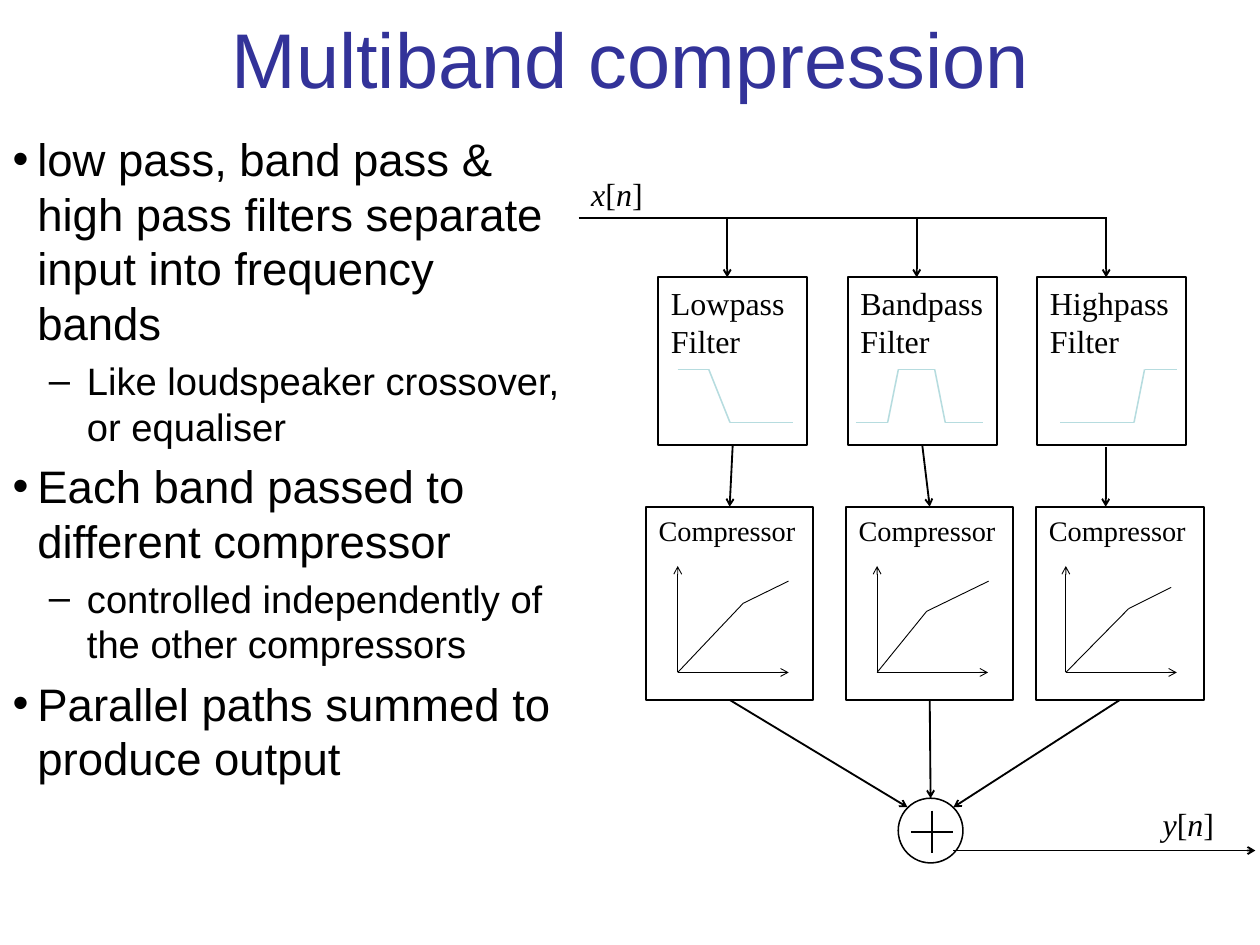
from dataclasses import dataclass

from lxml import etree
from pptx import Presentation
from pptx.dml.color import RGBColor
from pptx.enum.shapes import MSO_CONNECTOR, MSO_SHAPE
from pptx.enum.text import MSO_ANCHOR, MSO_AUTO_SIZE, PP_ALIGN
from pptx.oxml.ns import qn
from pptx.util import Pt

STRAIGHT = MSO_CONNECTOR.STRAIGHT
RECTANGLE = MSO_SHAPE.RECTANGLE
OVAL = MSO_SHAPE.OVAL
TOP, MIDDLE = MSO_ANCHOR.TOP, MSO_ANCHOR.MIDDLE
LEFT, CENTER = PP_ALIGN.LEFT, PP_ALIGN.CENTER
TOP_SIDE, BOTTOM_SIDE = 0, 2

BLACK = RGBColor(0x00, 0x00, 0x00)
NAVY = RGBColor(0x33, 0x33, 0x99)
PALE_TEAL = RGBColor(0xB6, 0xDC, 0xDF)
SANS, SERIF = "Arial", "Times New Roman"

# Shared levels of the diagram, in points
BUS_Y = 177
FILTER_TOP, FILTER_WIDTH, FILTER_HEIGHT = 225.4, 121, 136
COMPRESSOR_TOP, COMPRESSOR_WIDTH, COMPRESSOR_HEIGHT = 411.8, 136, 157
STOP_Y, PASS_Y = 343.4, 300.2
AXIS_Y, AXIS_TOP, AXIS_LENGTH = 546.5, 460, 90.2
BAND_STEP = 154

Point = tuple[float, float]


@dataclass
class Band:
    name: str
    compressor_left: float
    response: list[Point]
    origin: float
    knee: Point
    curve_end: Point


@dataclass
class Bullet:
    text: str
    level: int = 0


BANDS = [
    Band("Lowpass", 525, [(550.8, PASS_Y), (576, PASS_Y), (593.3, STOP_Y), (644.4, STOP_Y)],
         550.8, (604, 490.3), (640.8, 472.3)),
    Band("Bandpass", 687.6, [(695.5, STOP_Y), (721.4, STOP_Y), (730.1, PASS_Y),
                             (759.6, PASS_Y), (768.2, STOP_Y), (798.5, STOP_Y)],
         712.8, (753.1, 496.8), (803.5, 472.3)),
    Band("Highpass", 842.2, [(861.8, STOP_Y), (921.6, STOP_Y), (930.2, PASS_Y), (956.2, PASS_Y)],
         866.2, (917.3, 494.6), (951.8, 477.4)),
]

BULLETS = [
    Bullet("low pass, band pass & high pass filters separate input into frequency bands"),
    Bullet("Like loudspeaker crossover, or equaliser", 1),
    Bullet("Each band passed to different compressor"),
    Bullet("controlled independently of the other compressors", 1),
    Bullet("Parallel paths summed to produce output"),
]
# Character, size, left margin and hanging indent for each level
BULLET_LEVELS = [("•", 37, 20.2, -20.2), ("–", 31, 60.5, -31)]


def add_span(para, text: str, *, size: float, font: str = SERIF,
             color: RGBColor = BLACK, italic: bool = False) -> None:
    span = para.add_run()
    span.text = text
    span.font.name = font
    span.font.size = Pt(size)
    span.font.color.rgb = color
    span.font.italic = italic


def format_frame(frame, *, anchor=TOP, wrap: bool = True) -> None:
    frame.auto_size = MSO_AUTO_SIZE.NONE
    frame.word_wrap = wrap
    frame.vertical_anchor = anchor
    frame.margin_left = frame.margin_right = Pt(10.2)
    frame.margin_top = frame.margin_bottom = Pt(5.1)


def add_outline(page, kind, left: float, top: float, width: float, height: float,
                *, weight: float = 1.5, lines: tuple[str, ...] = (), size: float = 26):
    box = page.shapes.add_shape(kind, Pt(left), Pt(top), Pt(width), Pt(height))
    box.shadow.inherit = False
    box.fill.background()
    box.line.color.rgb = BLACK
    box.line.width = Pt(weight)
    format_frame(box.text_frame)
    for index, line in enumerate(lines):
        para = box.text_frame.add_paragraph() if index else box.text_frame.paragraphs[0]
        para.alignment = LEFT
        add_span(para, line, size=size)
    return box


def add_line(page, start: Point, end: Point, *, weight: float = 1.5,
             color: RGBColor = BLACK, arrow: bool = False):
    line = page.shapes.add_connector(STRAIGHT, *(Pt(value) for value in start + end))
    line.line.color.rgb = color
    line.line.width = Pt(weight)
    if arrow:
        etree.SubElement(line.get_or_add_ln(), qn("a:tailEnd"), type="arrow")
    etree.SubElement(line._element.spPr, qn("a:effectLst"))
    return line


def add_path(page, points: list[Point], *, weight: float, color: RGBColor = BLACK) -> None:
    for start, end in zip(points, points[1:]):
        add_line(page, start, end, weight=weight, color=color)


def add_signal(page, name: str, left: float, top: float) -> None:
    box = page.shapes.add_textbox(Pt(left), Pt(top), Pt(62.6), Pt(41.8))
    format_frame(box.text_frame, wrap=False)
    for text in (name, "[", "n", "]"):
        add_span(box.text_frame.paragraphs[0], text, size=26, italic=text.isalpha())


def add_title(page) -> None:
    title = page.shapes.title
    title.left, title.top, title.width, title.height = Pt(51), Pt(0), Pt(922), Pt(93.6)
    format_frame(title.text_frame, anchor=MIDDLE)
    para = title.text_frame.paragraphs[0]
    para.alignment = CENTER
    add_span(para, "Multiband compression", size=63, font=SANS, color=NAVY)


def add_bullets(page) -> None:
    box = page.shapes.add_textbox(Pt(0), Pt(101.5), Pt(471.6), Pt(666))
    format_frame(box.text_frame)
    for index, bullet in enumerate(BULLETS):
        para = box.text_frame.add_paragraph() if index else box.text_frame.paragraphs[0]
        mark, size, margin, indent = BULLET_LEVELS[bullet.level]
        para.level = bullet.level
        para.space_before = Pt(round(size * 0.2, 1))
        properties = para._p.get_or_add_pPr()
        properties.set("marL", str(Pt(margin)))
        properties.set("indent", str(Pt(indent)))
        etree.SubElement(properties, qn("a:buFont"), typeface=SANS)
        etree.SubElement(properties, qn("a:buChar"), char=mark)
        add_span(para, bullet.text, size=size, font=SANS)


def add_band(page, index: int, band: Band):
    """Draw one filter and its compressor; return the compressor box."""
    offset = index * BAND_STEP
    tap = 591 + offset
    add_line(page, (tap, BUS_Y), (tap, FILTER_TOP), arrow=True)
    filter_box = add_outline(page, RECTANGLE, 535 + offset, FILTER_TOP, FILTER_WIDTH,
                             FILTER_HEIGHT, lines=(band.name, "Filter"))
    add_path(page, band.response, weight=1.25, color=PALE_TEAL)
    compressor = add_outline(page, RECTANGLE, band.compressor_left, COMPRESSOR_TOP,
                             COMPRESSOR_WIDTH, COMPRESSOR_HEIGHT,
                             lines=("Compressor",), size=23)
    link = add_line(page, (898.6, 363.6), (898.6, COMPRESSOR_TOP), arrow=True)
    if band.name != "Highpass":  # the highpass link runs straight down, off centre
        link.begin_connect(filter_box, BOTTOM_SIDE)
        link.end_connect(compressor, TOP_SIDE)

    # Compression curve on its axes
    origin = (band.origin, AXIS_Y)
    for tip in ((band.origin + AXIS_LENGTH, AXIS_Y), (band.origin, AXIS_TOP)):
        add_line(page, origin, tip, weight=0.75, arrow=True)
    add_path(page, [origin, band.knee, band.curve_end], weight=0.75)
    return compressor


def main() -> None:
    deck = Presentation()
    deck.slide_width, deck.slide_height = Pt(1024), Pt(768)
    page = deck.slides.add_slide(deck.slide_layouts[5])
    add_title(page)
    add_bullets(page)

    # Input bus and the three parallel bands
    add_signal(page, "x", 470.2, 136.8)
    add_line(page, (470.2, BUS_Y), (900, BUS_Y))
    compressors = [add_band(page, index, band) for index, band in enumerate(BANDS)]

    # Summing node and output
    adder = add_outline(page, OVAL, 730, 648.7, 52.6, 52.6, weight=1.25)
    add_line(page, (740.2, 676), (774.7, 676), weight=1.25)
    add_line(page, (757.4, 658.8), (757.4, 693.4), weight=1.25)
    for compressor, entry_x in zip(compressors, (737.5, 756.3, 774.9)):
        path = add_line(page, (entry_x, 568.8), (entry_x, 656), arrow=True)
        path.begin_connect(compressor, BOTTOM_SIDE)
        if compressor is compressors[1]:
            path.end_connect(adder, TOP_SIDE)
    add_line(page, (774.9, 691.2), (1020.2, 691.2), arrow=True)
    add_signal(page, "y", 934.6, 648.7)

    deck.save("out.pptx")


if __name__ == "__main__":
    main()
